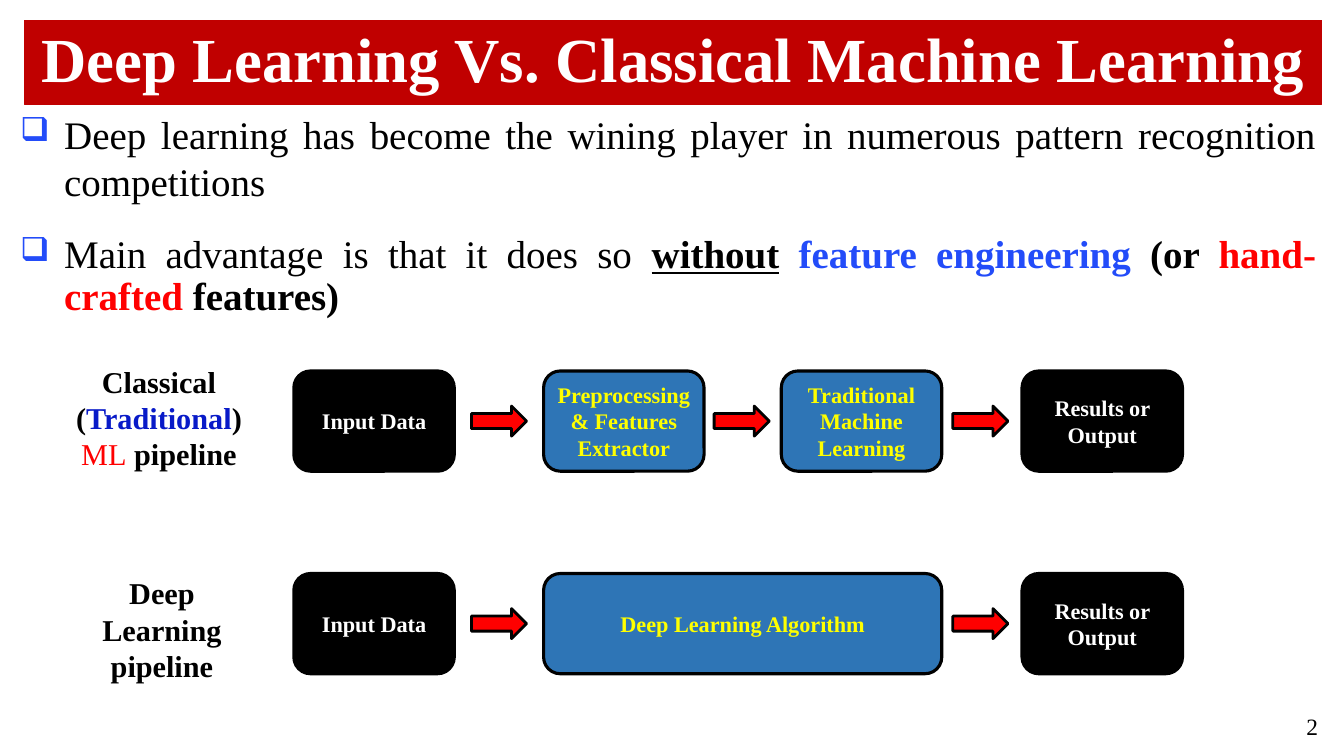
from dataclasses import dataclass

from lxml.etree import SubElement
from pptx import Presentation
from pptx.dml.color import RGBColor
from pptx.enum.shapes import MSO_SHAPE
from pptx.enum.text import MSO_ANCHOR, PP_ALIGN
from pptx.oxml.ns import qn
from pptx.util import Inches, Pt

FONT = "Times New Roman"
BLACK, WHITE, RED, YELLOW = "000000", "FFFFFF", "FF0000", "FFFF00"
CRIMSON, STEEL, BRIGHT_BLUE, DEEP_BLUE = "C00000", "2E75B6", "234CF9", "081AC8"
STAGE_WIDTH, STAGE_HEIGHT = 1.6, 1.0
ARROW_WIDTH, ARROW_HEIGHT = 0.55, 0.3


@dataclass(frozen=True)
class Span:
    text: str
    color: str = BLACK
    bold: bool = False
    underline: bool = False


@dataclass(frozen=True)
class Area:
    left: float
    top: float
    width: float
    height: float

    def lengths(self) -> tuple:
        return tuple(Inches(value) for value in (self.left, self.top, self.width, self.height))


@dataclass(frozen=True)
class Stage:
    text: str
    left: float
    fill: str = BLACK
    color: str = WHITE
    width: float = STAGE_WIDTH


@dataclass(frozen=True)
class Pipeline:
    top: float
    label_area: Area
    label: tuple[Span, ...]
    stages: tuple[Stage, ...]
    arrow_lefts: tuple[float, ...]


INPUT = Stage("Input Data", 2.93)
OUTPUT = Stage("Results or Output", 10.19)

PIPELINES = (
    Pipeline(
        3.7,
        Area(0.68, 3.62, 1.81, 1.09),
        (
            Span("Classical (", bold=True),
            Span("Traditional", DEEP_BLUE, True),
            Span(") ", bold=True),
            Span("ML", RED),
            Span(" pipeline", bold=True),
        ),
        (
            INPUT,
            Stage("Preprocessing & Features Extractor", 5.42, STEEL, YELLOW),
            Stage("Traditional Machine Learning", 7.79, STEEL, YELLOW),
            OUTPUT,
        ),
        (4.7, 7.12, 9.5),
    ),
    Pipeline(
        5.72,
        Area(0.71, 5.73, 1.81, 1.09),
        (Span("Deep Learning pipeline", bold=True),),
        (INPUT, Stage("Deep Learning Algorithm", 5.42, STEEL, YELLOW, 3.97), OUTPUT),
        (4.7, 9.5),
    ),
)

BULLETS = (
    (Span("Deep learning has become the wining player in numerous pattern recognition competitions"),),
    (
        Span("Main advantage is that it does so "),
        Span("without", bold=True, underline=True),
        Span(" "),
        Span("feature engineering ", BRIGHT_BLUE, True),
        Span("(or ", bold=True),
        Span("hand-crafted", RED, True),
        Span(" features)", bold=True),
    ),
)


def rgb(color: str) -> RGBColor:
    return RGBColor.from_string(color)


def write_spans(para, spans: tuple[Span, ...], size: float, align) -> None:
    para.alignment = align
    for span in spans:
        run = para.add_run()
        run.text = span.text
        font = run.font
        font.name, font.size = FONT, Pt(size)
        font.bold, font.underline = span.bold, span.underline
        font.color.rgb = rgb(span.color)


def set_frame(frame, inset: float, anchor) -> None:
    frame.word_wrap = True
    frame.vertical_anchor = anchor
    frame.margin_left = frame.margin_right = Inches(inset)
    frame.margin_top = frame.margin_bottom = Inches(inset)


def add_text(page, area: Area, inset: float = 0, anchor=MSO_ANCHOR.TOP):
    frame = page.shapes.add_textbox(*area.lengths()).text_frame
    set_frame(frame, inset, anchor)
    return frame


def add_block(page, kind, area: Area, fill: str, line: str, weight: float):
    shape = page.shapes.add_shape(kind, *area.lengths())
    shape.shadow.inherit = False
    shape.fill.solid()
    shape.fill.fore_color.rgb = rgb(fill)
    shape.line.color.rgb = rgb(line)
    shape.line.width = Pt(weight)
    return shape


def add_bullet(para) -> None:
    properties = para._p.get_or_add_pPr()
    properties.set("marL", str(Inches(0.44)))
    properties.set("indent", str(Inches(-0.44)))
    color = SubElement(properties, qn("a:buClr"))
    SubElement(color, qn("a:srgbClr"), val=BRIGHT_BLUE)
    SubElement(properties, qn("a:buSzPct"), val="85000")
    SubElement(properties, qn("a:buChar"), char="❑")


def add_title(page) -> None:
    box = add_block(page, MSO_SHAPE.RECTANGLE, Area(0.24, 0.2, 12.94, 0.84), CRIMSON, CRIMSON, 0.75)
    set_frame(box.text_frame, 0.05, MSO_ANCHOR.MIDDLE)
    para = box.text_frame.paragraphs[0]
    para.line_spacing = 0.9
    title = Span("Deep Learning Vs. Classical Machine Learning", WHITE, True)
    write_spans(para, (title,), 45, PP_ALIGN.CENTER)


def add_body(page) -> None:
    frame = add_text(page, Area(0.2, 1.1, 12.92, 1.98))
    first = frame.paragraphs[0]
    second = frame.add_paragraph()
    for para, spans in zip((first, second), BULLETS):
        add_bullet(para)
        write_spans(para, spans, 28, PP_ALIGN.JUSTIFY)
    first.space_after = Pt(12)
    second.space_before = Pt(10)
    second.line_spacing = 0.9


def add_pipeline(page, pipeline: Pipeline) -> None:
    for stage in pipeline.stages:
        area = Area(stage.left, pipeline.top, stage.width, STAGE_HEIGHT)
        box = add_block(page, MSO_SHAPE.ROUNDED_RECTANGLE, area, stage.fill, BLACK, 2.25)
        set_frame(box.text_frame, 0.01, MSO_ANCHOR.MIDDLE)
        caption = Span(stage.text, stage.color, True)
        write_spans(box.text_frame.paragraphs[0], (caption,), 16, PP_ALIGN.CENTER)
    arrow_top = pipeline.top + (STAGE_HEIGHT - ARROW_HEIGHT) / 2
    for left in pipeline.arrow_lefts:
        area = Area(left, arrow_top, ARROW_WIDTH, ARROW_HEIGHT)
        add_block(page, MSO_SHAPE.RIGHT_ARROW, area, RED, BLACK, 2)
    label = add_text(page, pipeline.label_area)
    write_spans(label.paragraphs[0], pipeline.label, 21.7, PP_ALIGN.CENTER)


def main() -> None:
    deck = Presentation()
    deck.slide_width, deck.slide_height = Inches(13.4), Inches(7.5)
    page = deck.slides.add_slide(deck.slide_layouts[6])
    add_title(page)
    add_body(page)
    for pipeline in PIPELINES:
        add_pipeline(page, pipeline)
    number = add_text(page, Area(12.73, 7.04, 0.51, 0.4), 0.1, MSO_ANCHOR.MIDDLE)
    write_spans(number.paragraphs[0], (Span("2"),), 16.8, PP_ALIGN.RIGHT)
    deck.save("out.pptx")


if __name__ == "__main__":
    main()
